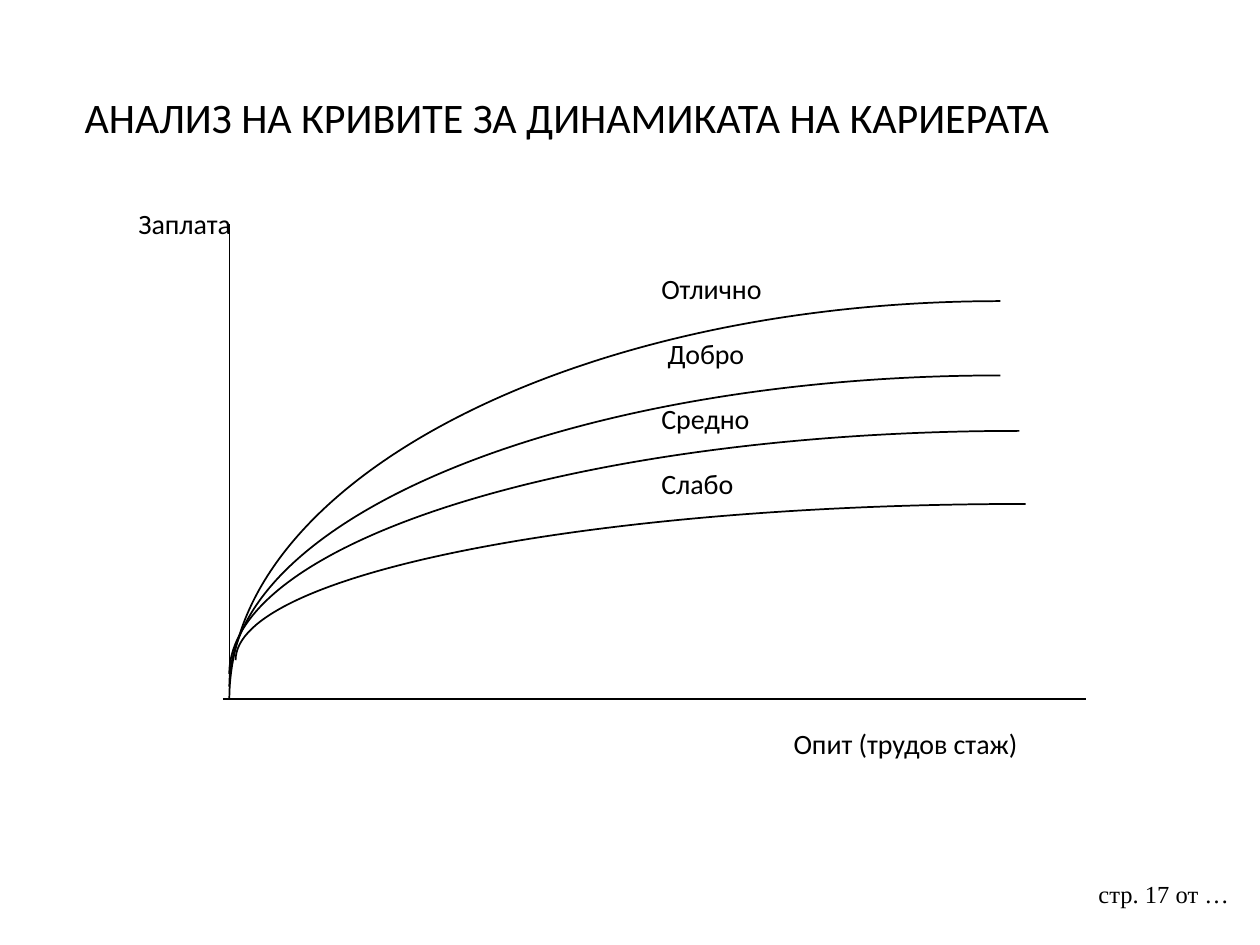
from pptx import Presentation
from pptx import util as u
from pptx.dml.color import RGBColor
from pptx.enum import shapes, text
from pptx.oxml.ns import qn
from lxml import etree

COLUMNS, ROWS = 100, 75
CELL = u.Inches(0.1)
INK = "000000"
LINE_POINTS = 15.3
ROW_POINTS = 18.57
ARC_PULL = 0.45


def grid(*cells):
    return [round(cell * CELL) for cell in cells]


def color(hex_value):
    return RGBColor.from_string(hex_value)


def add_text(slide, box, content, size=16, font="Calibri", ink=INK,
             align=text.PP_ALIGN.LEFT, anchor=text.MSO_ANCHOR.TOP,
             spacing=None, indents=None, gaps=None):
    frame = slide.shapes.add_textbox(*grid(*box)).text_frame
    frame.word_wrap = True
    frame.vertical_anchor = anchor
    for index, line in enumerate(content.split("\n")):
        paragraph = frame.paragraphs[0] if index == 0 else frame.add_paragraph()
        paragraph.alignment = align
        if spacing:
            paragraph.line_spacing = spacing
        if gaps:
            paragraph.space_before = u.Pt(gaps[index])
        if indents:
            margin = paragraph._p.get_or_add_pPr()
            margin.set("marL", str(grid(indents[index])[0]))
            margin.set("indent", "0")
        run = paragraph.add_run()
        run.text = line
        run.font.size = u.Pt(size)
        run.font.name = font
        run.font.color.rgb = color(ink)


def add_axis(slide, start, end, weight):
    axis = slide.shapes.add_connector(
        shapes.MSO_CONNECTOR.STRAIGHT, *grid(*start, *end))
    axis.line.color.rgb = color(INK)
    axis.line.width = u.Pt(weight)
    etree.SubElement(axis._element.spPr, qn("a:effectLst"))


def add_career_curve(slide, box):
    left, top, width, height = box
    builder = slide.shapes.build_freeform(*grid(left + width, top), scale=1.0)
    builder.add_line_segments([
        grid(left + width * ARC_PULL, top),
        grid(left, top + height * ARC_PULL),
        grid(left, top + height),
    ], close=False)
    curve = builder.convert_to_shape()
    outline = next(curve._element.iter(qn("a:path")))
    bend = etree.SubElement(outline, qn("a:cubicBezTo"))
    for segment in outline.findall(qn("a:lnTo")):
        bend.append(segment[0])
        outline.remove(segment)
    curve.fill.background()
    curve.line.color.rgb = color(INK)
    curve.line.width = u.Pt(1)
    curve.shadow.inherit = False


def add_plot(slide, box):
    left, top, width, height = box
    bottom = top + height
    add_axis(slide, (left - 0.5, bottom), (left + width, bottom), 1)
    curves = [
        (0.5, 22.2, 62.7, 12.4),
        (0, 16.4, 62.7, 19.3),
        (0, 12, 61.2, 24.7),
        (0, 6.1, 61.2, 31.6),
    ]
    for across, down, curve_width, curve_height in curves:
        add_career_curve(
            slide, (left + across, top + down, curve_width, curve_height))
    add_axis(slide, (left, bottom), (left, top), 0.75)


def add_labels(slide, box):
    labels = [
        ("Заплата", 0, 0),
        ("Отлично", 41.5, 2),
        ("Добро", 42, 2),
        ("Средно", 41.5, 2),
        ("Слабо", 41.5, 2),
        ("Опит (трудов стаж)", 52, 8),
    ]
    names, indents, rows = zip(*labels)
    gaps = [max(0, count * ROW_POINTS - LINE_POINTS) for count in rows]
    add_text(slide, box, "\n".join(names), spacing=0.8,
             indents=indents, gaps=gaps)


def main():
    deck = Presentation()
    deck.slide_width, deck.slide_height = grid(COLUMNS, ROWS)
    slide = deck.slides.add_slide(deck.slide_layouts[6])
    add_text(slide, (86.2, 69.3, 13, 5.2), "стр. 17 от …", size=14,
             font="Times New Roman")
    add_text(slide, (0, 3, 90, 12.5),
             "АНАЛИЗ НА КРИВИТЕ ЗА ДИНАМИКАТА НА КАРИЕРАТА", size=24,
             align=text.PP_ALIGN.CENTER, anchor=text.MSO_ANCHOR.MIDDLE)
    add_labels(slide, (10, 16.4, 90, 51.5))
    add_plot(slide, (18.2, 17.8, 68, 37.7))
    deck.save("out.pptx")


if __name__ == "__main__":
    main()
